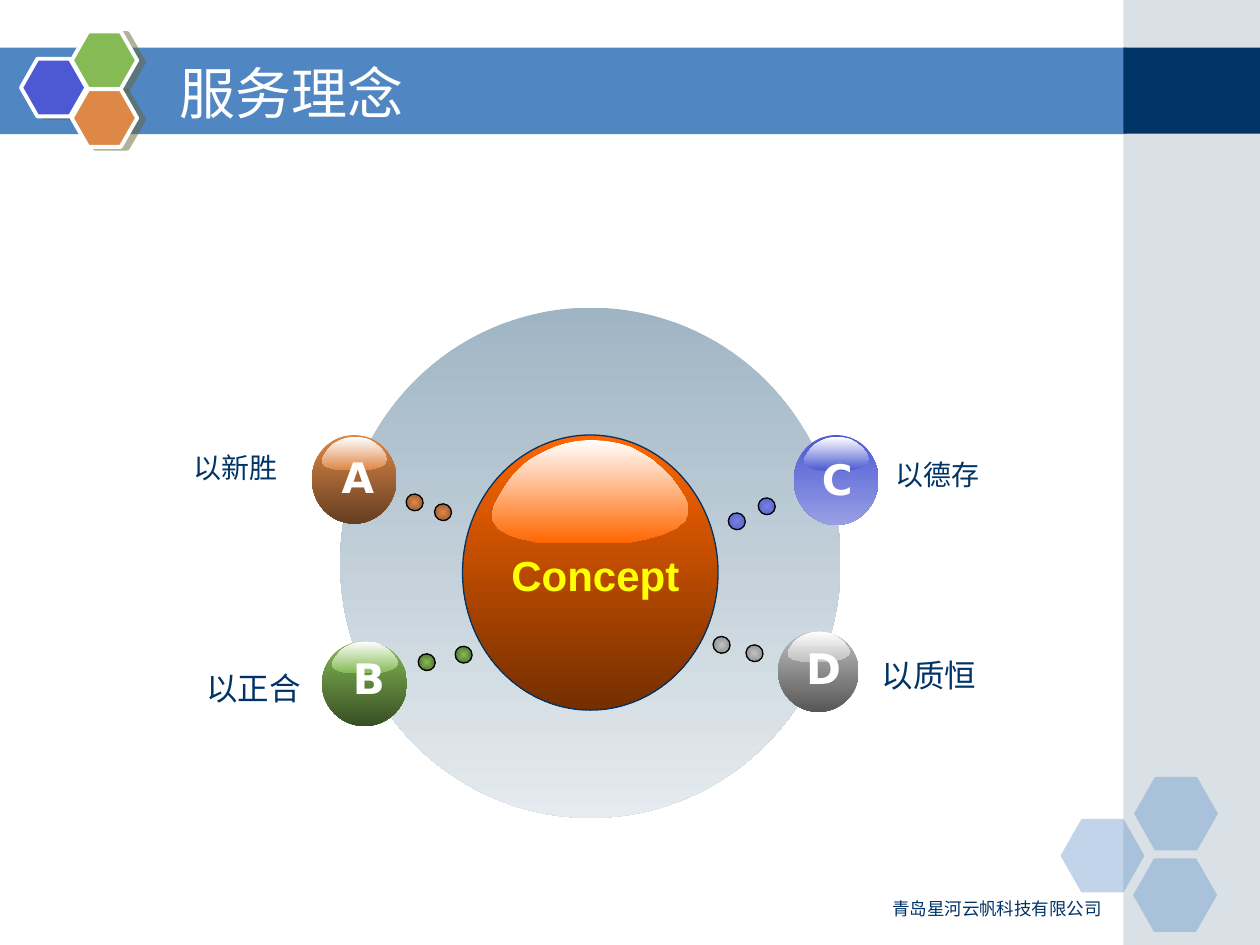
from lxml import etree
from pptx import Presentation
from pptx.dml.color import RGBColor
from pptx.enum.shapes import MSO_SHAPE
from pptx.enum.text import MSO_ANCHOR, MSO_AUTO_SIZE, PP_ALIGN
from pptx.oxml import parse_xml
from pptx.oxml.ns import nsdecls, qn
from pptx.util import Pt

COLORS = {
    "blue": "5086C2", "mist": "A0B5C4", "pale": "E5EBEF", "navy": "003366",
    "white": "FFFFFF", "black": "000000", "yellow": "FFFF00",
    "violet": "4C59D2", "lilac": "989FE5", "iris": "7881DD",
    "green": "85BA54", "forest": "384F24", "moss": "3C5526",
    "copper": "DE8848", "brown": "653E21", "umber": "804E2A",
    "silver": "C0C0C0", "gray": "808080", "coal": "575757",
    "orange": "FF6600", "rust": "742E00", "olive": "666633",
}

# Outline of the glossy highlight, on a grid of 157 x 82
GLOSS = [
    (154, 46), (156, 51), (157, 56), (154, 64), (147, 70), (136, 75), (122, 79),
    (106, 82), (57, 82), (35, 81), (22, 78), (13, 75), (5, 70), (1, 64), (0, 60),
    (2, 52), (7, 43), (12, 35), (18, 27), (25, 20), (32, 15), (41, 10), (50, 6),
    (59, 3), (69, 1), (79, 0), (90, 1), (101, 3), (111, 6), (120, 11), (128, 16),
    (136, 23), (143, 30), (149, 38),
]


def rgb(name):
    return RGBColor.from_string(COLORS[name])


def add_text(tf, text, size=16, font="Arial", color="navy", bold=False,
             align=PP_ALIGN.LEFT):
    p = tf.paragraphs[0]
    p.alignment = align
    r = p.add_run()
    r.text = text
    r.font.size, r.font.name, r.font.bold = Pt(size), font, bold
    r.font.color.rgb = rgb(color)


class Canvas:
    def __init__(self, slide):
        self.shapes = slide.shapes

    def paint(self, sp, fill, line=None, width=0.75, alpha=None, radial=False):
        """Fill with one colour, or with a gradient if fill is a pair."""
        sp.shadow.inherit = False
        if isinstance(fill, tuple):
            sp.fill.gradient()
            sp.fill.gradient_angle = 270
            for stop, name in zip(sp.fill.gradient_stops, fill):
                stop.color.rgb = rgb(name)
            if radial:
                lin = sp._element.spPr.find(".//" + qn("a:lin"))
                lin.getparent().replace(lin, parse_xml(
                    f'<a:path {nsdecls("a")} path="rect"><a:fillToRect l="50000" '
                    't="50000" r="50000" b="50000"/></a:path>'))
        else:
            sp.fill.solid()
            sp.fill.fore_color.rgb = rgb(fill)
        if alpha:
            clr = sp._element.spPr.find(".//" + qn("a:srgbClr"))
            etree.SubElement(clr, qn("a:alpha"), val=str(alpha * 1000))
        if line:
            sp.line.color.rgb = rgb(line)
            sp.line.width = Pt(width)
        else:
            sp.line.fill.background()
        return sp

    def shape(self, kind, x, y, w, h, fill, **style):
        sp = self.shapes.add_shape(kind, Pt(x), Pt(y), Pt(w), Pt(h))
        return self.paint(sp, fill, **style)

    def rect(self, *box, **style):
        return self.shape(MSO_SHAPE.RECTANGLE, *box, **style)

    def ellipse(self, *box, **style):
        return self.shape(MSO_SHAPE.OVAL, *box, **style)

    def hexagon(self, *box, shadow=False, **style):
        sp = self.shape(MSO_SHAPE.HEXAGON, *box, **style)
        sp.adjustments[0] = 0.285
        if shadow:
            effects = sp._element.spPr.find(qn("a:effectLst"))
            effects.append(parse_xml(
                f'<a:outerShdw {nsdecls("a")} dist="52000" dir="840000" algn="ctr" '
                f'rotWithShape="0"><a:srgbClr val="{COLORS["olive"]}">'
                '<a:alpha val="50000"/></a:srgbClr></a:outerShdw>'))
        return sp

    def gloss(self, x, y, w, h, color):
        points = [(Pt(x + w * u / 157), Pt(y + h * v / 82)) for u, v in GLOSS]
        fb = self.shapes.build_freeform(*points[0])
        fb.add_line_segments(points[1:], close=True)
        return self.paint(fb.convert_to_shape(), ("white", color))

    def text(self, x, y, w, h, text, wrap=False, grow=True, left=7.2,
             anchor=MSO_ANCHOR.TOP, **style):
        tf = self.shapes.add_textbox(Pt(x), Pt(y), Pt(w), Pt(h)).text_frame
        tf.word_wrap = wrap
        tf.auto_size = MSO_AUTO_SIZE.SHAPE_TO_FIT_TEXT if grow else MSO_AUTO_SIZE.NONE
        tf.vertical_anchor, tf.margin_left = anchor, Pt(left)
        add_text(tf, text, **style)

    def orb(self, x, y, w, h, fill, drop, letter, letter_x, letter_y):
        """A shaded ball with a highlight and a letter."""
        self.ellipse(x, y, w, h, fill=fill)
        self.gloss(x + 0.12 * w, y + drop, 0.77 * w, 0.375 * h, fill[0])
        self.text(letter_x, letter_y, 31, 36, letter, size=24, font="DejaVu Sans",
                  color="white", bold=True, align=PP_ALIGN.CENTER)

    def dot(self, x, y, fill):
        sp = self.ellipse(x, y, 9.5, 9.8, fill=fill, line="black", radial=True)
        sp.rotation = 303.8


def main():
    prs = Presentation()
    prs.slide_width, prs.slide_height = Pt(720), Pt(540)
    c = Canvas(prs.slides.add_slide(prs.slide_layouts[6]))

    # Header band and right panel
    c.rect(0, 27.2, 644, 49.4, fill="blue")
    c.rect(642, 0, 78, 540, fill="mist", alpha=40)
    c.rect(642, 27.2, 78, 49.2, fill="navy")

    # Hexagon clusters
    for x, y in [(606, 468), (648, 444), (647.5, 490.5)]:
        c.hexagon(x, y, 48, 42, fill="blue", alpha=35)
    for x, y, color in [(12, 33.6, "violet"), (41, 18, "green"), (41, 51, "copper")]:
        c.hexagon(x, y, 37.4, 33, fill=color, line="white", width=2.25, shadow=True)

    # Title and company name
    c.text(90, 30.2, 528, 44.6, "服务理念", wrap=True, grow=False, left=12.6,
           anchor=MSO_ANCHOR.MIDDLE, size=32, font="DejaVu Sans", color="white")
    c.text(408, 509.8, 228.5, 18.7, "青岛星河云帆科技有限公司", wrap=True, grow=False,
           size=10, font="DejaVu Sans", align=PP_ALIGN.RIGHT)

    # Background disc and central ball
    c.ellipse(194.4, 175.8, 286, 291.6, fill=("mist", "pale"))
    c.ellipse(264.3, 248.6, 146, 157.2, fill=("orange", "rust"), line="navy")
    c.gloss(281, 251.3, 112.6, 59.2, "orange")
    c.text(285, 310.5, 110.4, 36, "Concept", size=24, color="yellow", bold=True,
           align=PP_ALIGN.CENTER)

    # Lettered balls
    c.orb(184, 366.5, 48.6, 48.4, ("green", "forest"), 0, "B", 194.6, 369.4)
    c.orb(453.6, 248.6, 48.4, 51.4, ("violet", "lilac"), 1, "C", 462.6, 255.6)
    c.orb(444.6, 360.8, 46, 46, ("silver", "coal"), 0, "D", 453.6, 363.4)
    c.orb(178.2, 248.6, 48.4, 50.6, ("copper", "brown"), 1, "A", 188.2, 254.2)

    # Linking dots
    dots = {
        ("silver", "gray"): [(426.4, 368.4), (407.6, 363.6)],
        ("copper", "umber"): [(232.2, 282.2), (248.4, 287.8)],
        ("green", "moss"): [(260.2, 369.2), (239.1, 373.5)],
        ("iris", "violet"): [(433.4, 284.4), (416.3, 293)],
    }
    for fill, places in dots.items():
        for x, y in places:
            c.dot(x, y, fill)

    # Labels
    c.text(103.7, 254.2, 67.7, 26.6, "以新胜", wrap=True)
    c.text(501.8, 257.8, 67.7, 26.6, "以德存", wrap=True, align=PP_ALIGN.CENTER)
    c.text(110.9, 378.7, 68.4, 28.8, "以正合", size=18)
    c.text(496.8, 371.5, 68.4, 28.8, "以质恒", size=18)

    prs.save("out.pptx")


if __name__ == "__main__":
    main()
